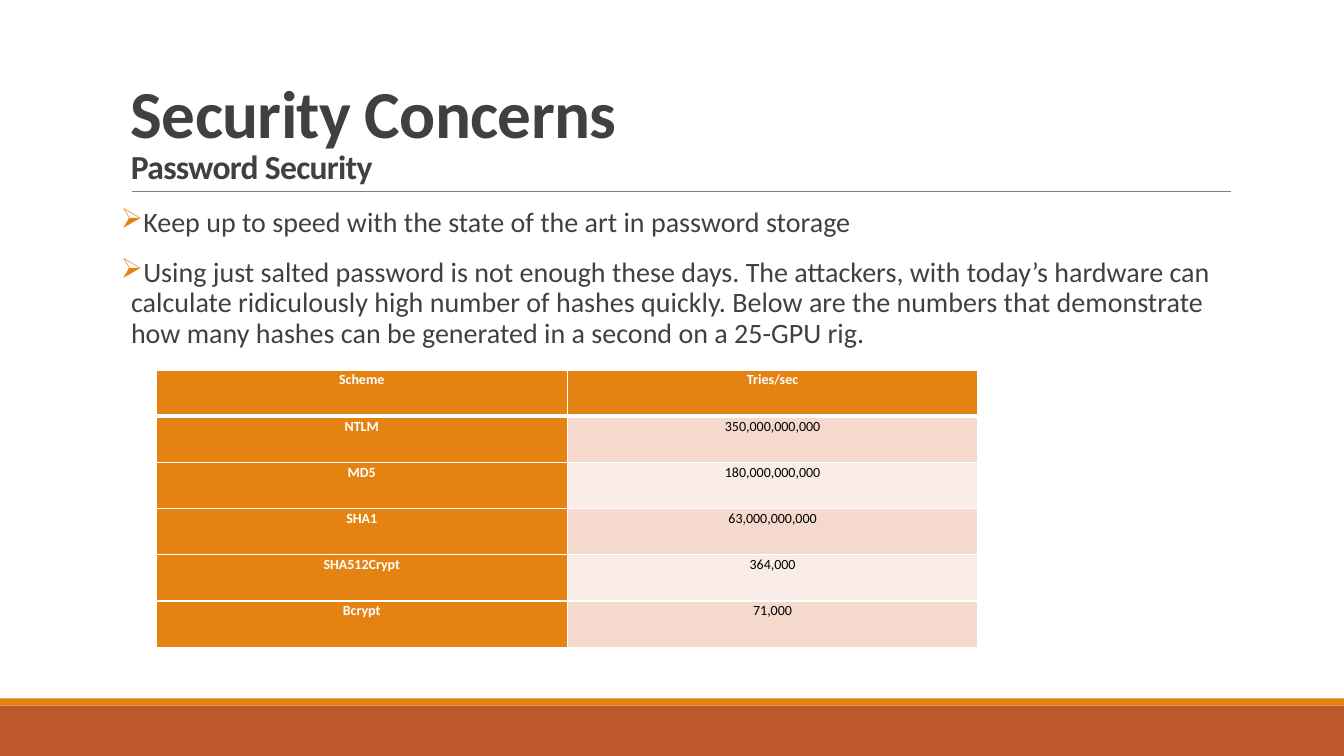
from lxml import etree
from pptx import Presentation
from pptx.dml.color import RGBColor
from pptx.enum.shapes import MSO_CONNECTOR, MSO_SHAPE
from pptx.enum.text import MSO_ANCHOR, PP_ALIGN
from pptx.oxml.ns import qn
from pptx.util import Inches, Pt

COLORS = {"orange": "E48312", "rust": "BD582C", "gray": "808080", "text": "404040",
          "white": "FFFFFF", "black": "000000", "band": "F5D9CC", "light": "FAEDE7"}


def rgb(name):
    return RGBColor.from_string(COLORS[name])


def add_run(p, text, size, color, bold=False):
    r = p.add_run()
    r.text = text
    r.font.name = "Calibri"
    r.font.size = Pt(size)
    r.font.bold = bold
    r.font.color.rgb = rgb(color)
    return r


prs = Presentation()
prs.slide_width, prs.slide_height = Inches(13.33), Inches(7.5)
slide = prs.slides.add_slide(prs.slide_layouts[6])
shapes = slide.shapes

for top, height, color in [(7, 0.5, "rust"), (6.93, 0.07, "orange")]:
    sp = shapes.add_shape(MSO_SHAPE.RECTANGLE, 0, Inches(top), prs.slide_width, Inches(height))
    sp.shadow.inherit = False
    sp.fill.solid()
    sp.fill.fore_color.rgb = rgb(color)
    sp.line.fill.background()

rule = shapes.add_connector(MSO_CONNECTOR.STRAIGHT, Inches(1.31), Inches(1.9),
                            Inches(12.21), Inches(1.9))
rule.line.color.rgb = rgb("gray")
rule.line.width = Pt(0.5)
etree.SubElement(rule._element.spPr, qn("a:effectLst"))

title = shapes.add_textbox(Inches(1.2), Inches(0.31), Inches(11), Inches(1.59))
tf = title.text_frame
tf.word_wrap = True
tf.vertical_anchor = MSO_ANCHOR.BOTTOM
p = tf.paragraphs[0]
p.line_spacing = 0.85
heading = add_run(p, "Security Concerns", 48, "text", True)
p.add_line_break()
subheading = add_run(p, "Password Security", 24, "text", True)
for r in (heading, subheading):
    r.font._element.set("spc", "-50")

points = [
    "Keep up to speed with the state of the art in password storage",
    "Using just salted password is not enough these days. The attackers, with today’s "
    "hardware can calculate ridiculously high number of hashes quickly. Below are the "
    "numbers that demonstrate how many hashes can be generated in a second on a 25-GPU rig.",
]
body = shapes.add_textbox(Inches(1.2), Inches(2.02), Inches(11), Inches(4.4))
tf = body.text_frame
tf.word_wrap = True
tf.margin_left = tf.margin_right = 0
for i, point in enumerate(points):
    p = tf.add_paragraph() if i else tf.paragraphs[0]
    p.line_spacing = 0.9
    p.space_before, p.space_after = Pt(12), Pt(2)
    pPr = p._p.get_or_add_pPr()
    pPr.set("marL", str(Inches(0.1)))
    pPr.set("indent", str(-Inches(0.1)))
    bullet_color = etree.SubElement(pPr, qn("a:buClr"))
    etree.SubElement(bullet_color, qn("a:srgbClr"), val=COLORS["orange"])
    etree.SubElement(pPr, qn("a:buChar"), char="➢")
    add_run(p, point, 20, "text")

rows = [
    ("Scheme", "Tries/sec"),
    ("NTLM", "350,000,000,000"),
    ("MD5", "180,000,000,000"),
    ("SHA1", "63,000,000,000"),
    ("SHA512Crypt", "364,000"),
    ("Bcrypt", "71,000"),
]
table = shapes.add_table(len(rows), 2, Inches(1.55), Inches(3.67),
                         Inches(8.15), Inches(2.75)).table
for i, row in enumerate(rows):
    for j, text in enumerate(row):
        cell = table.cell(i, j)
        cell.margin_left = cell.margin_right = Inches(0.07)
        cell.margin_top = cell.margin_bottom = 0
        is_header = i == 0 or j == 0
        cell.fill.solid()
        cell.fill.fore_color.rgb = rgb("orange" if is_header else "band" if i % 2 else "light")
        p = cell.text_frame.paragraphs[0]
        p.alignment = PP_ALIGN.CENTER
        p.line_spacing = 1.1
        p.space_before = p.space_after = Pt(3)
        add_run(p, text, 10, "white" if is_header else "black", is_header)
        tcPr = cell._tc.get_or_add_tcPr()
        for k, side in enumerate(("lnL", "lnR", "lnT", "lnB")):
            thick = (i, side) in [(0, "lnB"), (1, "lnT")]
            ln = etree.Element(qn(f"a:{side}"), w=str(Pt(3 if thick else 1)))
            fill = etree.SubElement(ln, qn("a:solidFill"))
            etree.SubElement(fill, qn("a:srgbClr"), val=COLORS["white"])
            tcPr.insert(k, ln)

prs.save("out.pptx")
